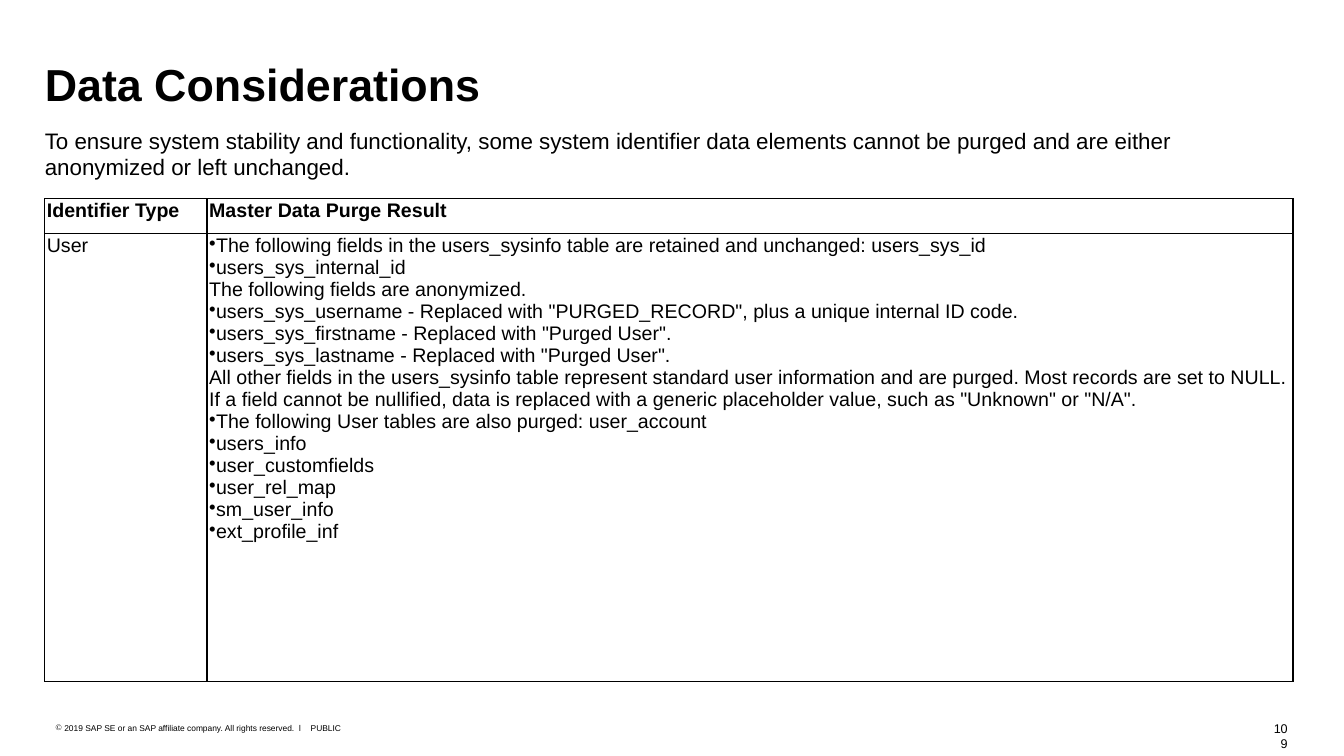
"""Build the Data Considerations slide with its purge result table."""
from lxml import etree
from pptx import Presentation
from pptx.dml.color import RGBColor
from pptx.enum import text
from pptx.oxml import ns
from pptx.util import Pt

BLACK = RGBColor(0, 0, 0)
LEFT = 32
PURGE_RESULTS = [
    "•The following fields in the users_sysinfo table are retained and unchanged: users_sys_id",
    "•users_sys_internal_id",
    "The following fields are anonymized.",
    '•users_sys_username - Replaced with "PURGED_RECORD", plus a unique internal ID code.',
    '•users_sys_firstname - Replaced with "Purged User".',
    '•users_sys_lastname - Replaced with "Purged User".',
    "All other fields in the users_sysinfo table represent standard user information and are purged. "
    "Most records are set to NULL. If a field cannot be nullified, data is replaced with a generic "
    'placeholder value, such as "Unknown" or "N/A".',
    "•The following User tables are also purged: user_account",
    "•users_info",
    "•user_customfields",
    "•user_rel_map",
    "•sm_user_info",
    "•ext_profile_inf",
]
TABLE_ROWS = [
    [["Identifier Type"], ["Master Data Purge Result"]],
    [["User"], PURGE_RESULTS],
]


def write(frame, lines, size=14, bold=False, align=text.PP_ALIGN.LEFT, hanging=0):
    frame.word_wrap = True
    for index, line in enumerate(lines):
        para = frame.paragraphs[0] if index == 0 else frame.add_paragraph()
        para.alignment = align
        if line[0] in "•©":
            properties = para._p.get_or_add_pPr()
            properties.set("marL", str(Pt(hanging)))
            properties.set("indent", str(-Pt(hanging)))
            etree.SubElement(properties, ns.qn("a:buChar")).set("char", line[0])
            line = line[1:]
        span = para.add_run()
        span.text = line
        span.font.name = "Arial"
        span.font.size = Pt(size)
        span.font.bold = bold
        span.font.color.rgb = BLACK


deck = Presentation()
deck.slide_width, deck.slide_height = Pt(960.5), Pt(540)
page = deck.slides.add_slide(deck.slide_layouts[5])

title = page.shapes.title
title.left, title.top, title.width, title.height = Pt(LEFT), Pt(40.5), Pt(880.5), Pt(39)
labels = [(title, ["Data Considerations"], {"size": 32, "bold": True})]
for bounds, line, style in [
    ((LEFT, 90.5, 893, 39),
     "To ensure system stability and functionality, some system identifier data elements "
     "cannot be purged and are either anonymized or left unchanged.", {"size": 16}),
    ((39.5, 516.5, 179, 7),
     "©2019 SAP SE or an SAP affiliate company. All rights reserved.  ǀ",
     {"size": 6, "hanging": 6.5}),
    ((222, 516.5, 24, 7), "PUBLIC", {"size": 6}),
    ((909.5, 515, 10.8, 11), "109", {"size": 9, "align": text.PP_ALIGN.RIGHT}),
]:
    box = page.shapes.add_textbox(*map(Pt, bounds))
    labels.append((box, [line], style))

for box, lines, style in labels:
    frame = box.text_frame
    frame.margin_left = frame.margin_top = frame.margin_right = frame.margin_bottom = 0
    frame.vertical_anchor = text.MSO_ANCHOR.TOP
    frame.auto_size = text.MSO_AUTO_SIZE.NONE
    write(frame, lines, **style)

table = page.shapes.add_table(2, 2, Pt(LEFT), Pt(142), Pt(892), Pt(345)).table
table.first_row = table.horz_banding = False
for column, width in zip(table.columns, (116, 776)):
    column.width = Pt(width)
for row, height, contents in zip(table.rows, (25, 320), TABLE_ROWS):
    row.height = Pt(height)
    for cell, lines in zip(row.cells, contents):
        cell.margin_left = cell.margin_right = Pt(1.5)
        cell.margin_top = cell.margin_bottom = Pt(0.75)
        write(cell.text_frame, lines, bold=contents is TABLE_ROWS[0])
        properties = cell._tc.get_or_add_tcPr()
        for side in ("lnL", "lnR", "lnT", "lnB"):
            border = etree.SubElement(properties, ns.qn(f"a:{side}"), w=str(Pt(1)))
            fill = etree.SubElement(border, ns.qn("a:solidFill"))
            etree.SubElement(fill, ns.qn("a:srgbClr"), val=str(BLACK))
        cell.fill.background()

deck.save("out.pptx")
